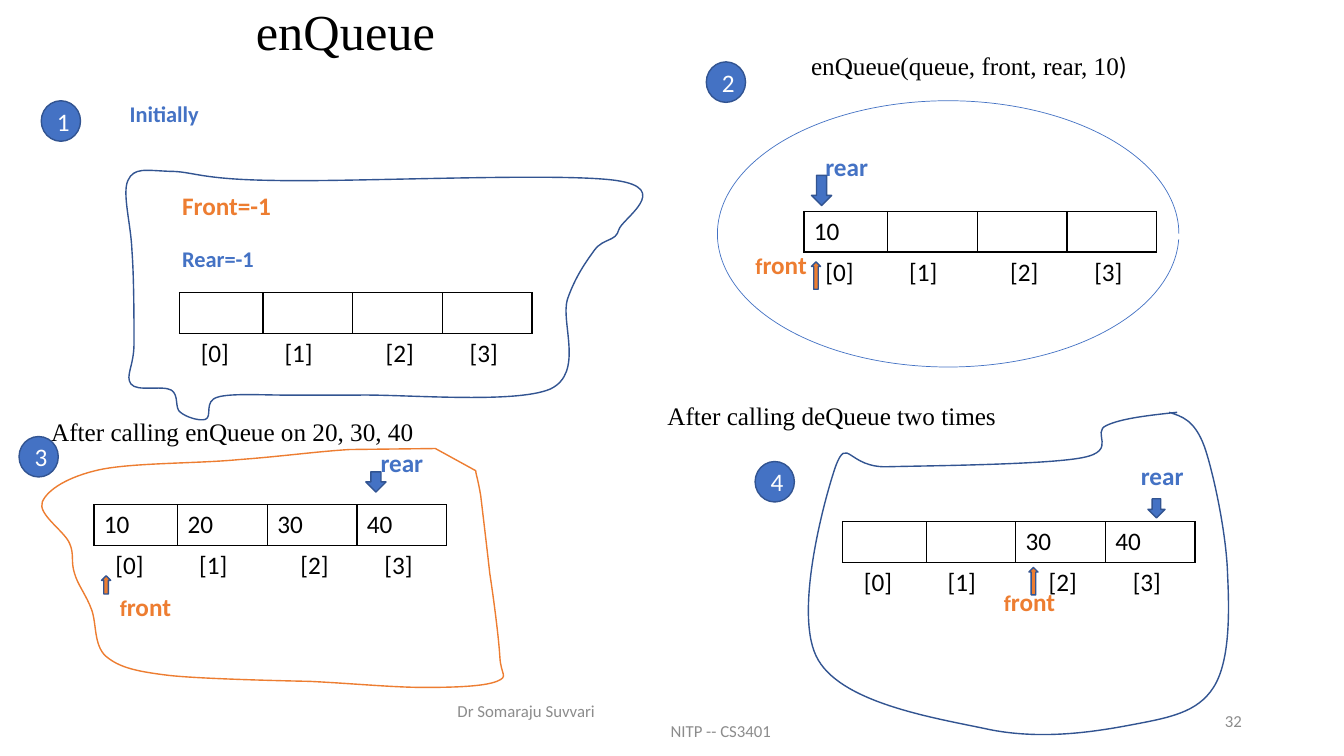
from dataclasses import dataclass

from lxml import etree
from pptx import Presentation
from pptx import util as u
from pptx.dml.color import RGBColor
from pptx.enum import shapes, text
from pptx.oxml import ns

BLUE = RGBColor(0x44, 0x72, 0xC4)
NAVY = RGBColor(0x32, 0x54, 0x91)
ORANGE = RGBColor(0xED, 0x7D, 0x31)
BLACK = RGBColor(0, 0, 0)
WHITE = RGBColor(255, 255, 255)
GREY = RGBColor(0x8C, 0x8C, 0x8C)
SANS, SERIF = "Calibri", "Times New Roman"
SHAPE, ALIGN, ANCHOR = shapes.MSO_SHAPE, text.PP_ALIGN, text.MSO_ANCHOR

COLUMN_WIDTHS = (2.11, 2.26, 2.26, 2.26)
INDEX_INDENTS = (0.54, 0.54, 0.83, 0.69)
ROW_HEIGHT = 1.02
CELL_INDENT = 0.25
GRID = 0.0254  # outline points are hundredths of an inch


@dataclass
class Span:
    words: str
    size: float = 18
    font: str = SANS


@dataclass
class Label:
    left: float
    top: float
    width: float
    spans: tuple[Span, ...]
    color: RGBColor = BLACK
    bold: bool = False
    height: float = 1.02


@dataclass
class Outline:
    frame: tuple[int, int, int, int]  # left, top, width, height
    start: tuple[int, int]
    segments: list[tuple[int, ...]]  # 2 numbers: line, 6 numbers: cubic curve
    color: RGBColor = NAVY
    closed: bool = True


@dataclass
class Arrow:
    left: float
    top: float
    width: float
    height: float
    up: bool = False


@dataclass
class Panel:
    number: int
    badge: tuple[float, float]
    queue: tuple[float, float]
    values: tuple[str, ...]
    labels: list[Label]
    arrows: list[Arrow]
    outline: Outline | None = None


deck = Presentation()
deck.slide_width, deck.slide_height = u.Cm(33.87), u.Cm(19.05)
page = deck.slides.add_slide(deck.slide_layouts[6])


def caption(left: float, top: float, width: float, *spans: Span) -> Label:
    return Label(left, top, width, spans)


def rear(left: float, top: float) -> Label:
    return Label(left, top, 2.44, (Span("rear"),), BLUE, True)


def front(left: float, top: float) -> Label:
    return Label(left, top, 2.82, (Span("f", 16), Span("ront")), ORANGE, True)


def style(span, size: float, color: RGBColor, font: str = SANS, bold: bool = False) -> None:
    span.font.size, span.font.name, span.font.bold = u.Pt(size), font, bold
    span.font.color.rgb = color


def paint(shape, fill: RGBColor | None, line: RGBColor, width: float = 1) -> None:
    shape.shadow.inherit = False
    if fill is None:
        shape.fill.background()
    else:
        shape.fill.solid()
        shape.fill.fore_color.rgb = fill
    shape.line.color.rgb = line
    shape.line.width = u.Pt(width)


def add_shape(kind, left: float, top: float, width: float, height: float):
    return page.shapes.add_shape(kind, u.Cm(left), u.Cm(top), u.Cm(width), u.Cm(height))


def draw_label(label: Label):
    box = page.shapes.add_textbox(u.Cm(label.left), u.Cm(label.top),
                                  u.Cm(label.width), u.Cm(label.height))
    box.text_frame.word_wrap = True
    para = box.text_frame.paragraphs[0]
    for part in label.spans:
        span = para.add_run()
        span.text = part.words
        style(span, part.size, label.color, part.font, label.bold)
    return box


def draw_outline(outline: Outline) -> None:
    left, top, width, height = outline.frame
    builder = page.shapes.build_freeform(*outline.start, scale=u.Cm(GRID))
    builder.add_line_segments([segment[-2:] for segment in outline.segments], close=outline.closed)
    shape = builder.convert_to_shape()
    shape.left, shape.top, shape.width, shape.height = (u.Cm(GRID * n) for n in outline.frame)
    # Bend the straight segments into curves within the frame
    path_node = shape._element.find(f".//{ns.qn('a:path')}")
    path_node.set("w", str(width))
    path_node.set("h", str(height))
    for step, numbers in zip(list(path_node), [outline.start, *outline.segments]):
        if len(numbers) == 6:
            curve = etree.Element(ns.qn("a:cubicBezTo"))
            path_node.replace(step, curve)
            step = curve
        for point in list(step):
            step.remove(point)
        for x, y in zip(numbers[::2], numbers[1::2]):
            etree.SubElement(step, ns.qn("a:pt"), x=str(x - left), y=str(y - top))
    paint(shape, WHITE if outline.closed else None, outline.color)


def set_borders(cell, visible: bool) -> None:
    properties = cell._tc.get_or_add_tcPr()
    for place, side in enumerate(("lnL", "lnR", "lnT", "lnB")):
        line = etree.Element(ns.qn(f"a:{side}"), w=str(u.Pt(1)))
        if visible or side == "lnT":
            fill = etree.SubElement(line, ns.qn("a:solidFill"))
            etree.SubElement(fill, ns.qn("a:srgbClr"), val=str(BLACK))
        else:
            etree.SubElement(line, ns.qn("a:noFill"))
        properties.insert(place, line)


def draw_queue(left: float, top: float, values: tuple[str, ...]) -> None:
    table = page.shapes.add_table(2, len(values), u.Cm(left), u.Cm(top),
                                  u.Cm(sum(COLUMN_WIDTHS)), u.Cm(2 * ROW_HEIGHT)).table
    table.first_row = table.horz_banding = False
    for row in table.rows:
        row.height = u.Cm(ROW_HEIGHT)
    for column, value in enumerate(values):
        table.columns[column].width = u.Cm(COLUMN_WIDTHS[column])
        contents = ((value, CELL_INDENT), (f"[{column}]", INDEX_INDENTS[column]))
        for row, (words, indent) in enumerate(contents):
            cell = table.cell(row, column)
            cell.text_frame.text = words
            cell.margin_left = u.Cm(indent)
            style(cell.text_frame.paragraphs[0], 18, BLACK)
            cell.fill.background()
            set_borders(cell, row == 0)


def draw_panel(panel: Panel) -> None:
    if panel.outline:
        draw_outline(panel.outline)
    draw_queue(*panel.queue, panel.values)
    for label in panel.labels:
        draw_label(label)
    for arrow in panel.arrows:
        kind = SHAPE.UP_ARROW if arrow.up else SHAPE.DOWN_ARROW
        shape = add_shape(kind, arrow.left, arrow.top, arrow.width, arrow.height)
        paint(shape, ORANGE if arrow.up else BLUE, NAVY)
    badge = add_shape(SHAPE.FLOWCHART_CONNECTOR, *panel.badge, 0.99, 1.02)
    paint(badge, BLUE, NAVY)
    badge.text_frame.text = str(panel.number)
    para = badge.text_frame.paragraphs[0]
    para.alignment = ALIGN.CENTER
    style(para.runs[0], 18, WHITE)


# Outlines around panels 1, 3 and 4
initial_outline = Outline((125, 169, 513, 247), (127, 179), [
    (121, 192, 130, 222, 131, 249), (133, 276, 133, 319, 133, 341),
    (133, 363, 124, 373, 130, 381), (136, 389, 161, 382, 170, 387),
    (178, 392, 173, 405, 179, 409), (185, 414, 198, 418, 204, 416),
    (211, 413, 202, 398, 216, 394), (229, 390, 261, 392, 284, 392),
    (307, 392, 355, 392, 355, 392), (399, 391, 511, 401, 546, 386),
    (580, 370, 556, 320, 563, 297), (571, 274, 582, 259, 590, 248),
    (599, 236, 611, 240, 614, 228), (617, 217, 668, 187, 611, 179),
    (554, 171, 345, 181, 271, 179), (197, 178, 192, 170, 168, 170),
    (144, 169, 133, 166, 127, 179)])
full_outline = Outline((41, 445, 458, 237), (472, 467), [
    (432, 445), (432, 445), (347, 446), (314, 448, 278, 453, 237, 456),
    (196, 460, 132, 459, 99, 466), (67, 473, 47, 486, 42, 498),
    (37, 510, 64, 527, 69, 539), (74, 550, 70, 557, 74, 569),
    (77, 580, 86, 591, 91, 605), (96, 619, 93, 640, 105, 651),
    (118, 662, 134, 666, 167, 670), (201, 674, 307, 676, 307, 676),
    (349, 678, 390, 682, 421, 682), (452, 682, 480, 681, 493, 676),
    (505, 671, 497, 670, 496, 652), (495, 634, 490, 595, 486, 569),
    (483, 542, 479, 509, 477, 492), (474, 474, 472, 470, 472, 467)], ORANGE)
removed_outline = Outline((802, 409, 417, 319), (1168, 409), [
    (1140, 412, 1113, 415, 1098, 422), (1082, 429, 1110, 447, 1074, 454),
    (1038, 461, 923, 462, 882, 463), (841, 465, 841, 431, 829, 463),
    (818, 495, 786, 612, 812, 655), (838, 699, 932, 713, 983, 724),
    (1035, 734, 1086, 726, 1123, 719), (1160, 712, 1188, 707, 1204, 682),
    (1220, 657, 1220, 610, 1218, 570), (1217, 530, 1204, 469, 1195, 443),
    (1185, 416, 1172, 413, 1160, 409)], closed=False)

# Title
title = draw_label(Label(6.2, 0.15, 5.54, (Span("enQueue", 36, SERIF),), height=1.4))
title.text_frame.vertical_anchor = ANCHOR.MIDDLE
title.text_frame.paragraphs[0].line_spacing = 0.9

# Ellipse around panel 2
ellipse = add_shape(SHAPE.ARC, 18.08, 2.54, 11.63, 6.71)
ellipse.adjustments[0], ellipse.adjustments[1] = 0.81, 0
paint(ellipse, None, BLUE, 0.5)

# The four queue states
for state in (
    Panel(1, (1.04, 2.54), (4.52, 7.38), ("", "", "", ""),
          [Label(3.02, 2.41, 7.72, (Span("Initially", 16),), BLUE, True, 0.94),
           Label(4.34, 4.67, 2.82, (Span("Front=-1"),), ORANGE, True),
           Label(4.34, 6.05, 2.44, (Span("Rear=-1", 16),), BLUE, True, 0.94)],
          [], initial_outline),
    Panel(2, (17.8, 1.56), (20.26, 5.33), ("10", "", "", ""),
          [caption(20.19, 1.14, 13.5, Span("enQueue(queue, front, rear, 10", font=SERIF), Span(")")),
           rear(20.55, 3.68), front(18.79, 6.15)],
          [Arrow(20.45, 6.6, 0.23, 0.69, True), Arrow(20.45, 4.42, 0.51, 0.76)]),
    Panel(3, (0.48, 11), (2.37, 12.72), ("10", "20", "30", "40"),
          [caption(1.04, 10.36, 9.68, Span("After calling enQueue on 20, 30, 40", font=SERIF)),
           rear(9.34, 11.15), front(2.77, 14.77)],
          [Arrow(2.56, 14.51, 0.23, 0.46, True), Arrow(9.22, 11.89, 0.51, 0.51)], full_outline),
    Panel(4, (19.03, 11.63), (21.23, 13.15), ("", "", "30", "40"),
          [caption(16.57, 9.96, 9.68, Span("After calling deQueue two times", font=SERIF)),
           rear(28.5, 11.48), front(25.05, 14.66)],
          [Arrow(25.93, 14.3, 0.23, 0.69, True), Arrow(28.93, 12.57, 0.43, 0.48)], removed_outline),
):
    draw_panel(state)

# Footer with a hanging second line, and slide number
footer = draw_label(Label(11.23, 17.65, 11.43, (Span("", 12),), GREY))
para = footer.text_frame.paragraphs[0]
para.text = "Dr Somaraju Suvvari\vNITP -- CS3401"
for span in para.runs:
    style(span, 12, GREY)
indents = para._p.get_or_add_pPr()
indents.set("marL", str(u.Cm(5.42)))
indents.set("indent", str(u.Cm(-5.37)))
number = draw_label(Label(23.93, 17.65, 7.62, (Span("32", 12),), GREY))
number.text_frame.paragraphs[0].alignment = ALIGN.RIGHT
for box in (footer, number):
    box.text_frame.vertical_anchor = ANCHOR.MIDDLE

deck.save("out.pptx")
